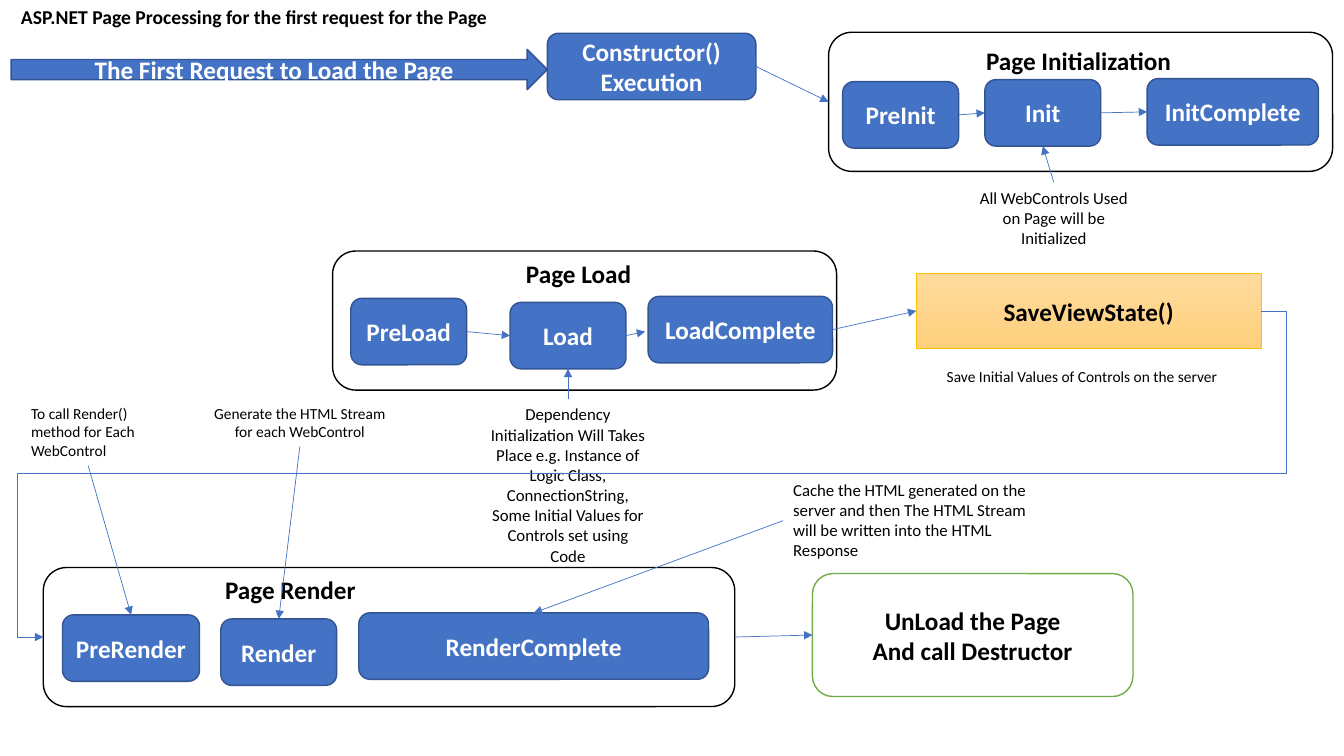
import pptx
import pptx.dml.color
import pptx.enum.shapes
import pptx.enum.text
import pptx.oxml
import pptx.oxml.ns
import pptx.util

RGBColor = pptx.dml.color.RGBColor
BLUE = RGBColor(0x44, 0x72, 0xC4)
DARK_BLUE = RGBColor(0x32, 0x54, 0x91)
GREEN = RGBColor(0x70, 0xAD, 0x47)
GOLD = RGBColor(0xFF, 0xC0, 0x00)
LIGHT_GOLD = RGBColor(0xFF, 0xDB, 0x9E)
MID_GOLD = RGBColor(0xFF, 0xD0, 0x7C)
BLACK = RGBColor(0, 0, 0)
WHITE = RGBColor(0xFF, 0xFF, 0xFF)

FONT = "Calibri"
CELL = pptx.util.Inches(0.1)
COLUMNS, ROWS = 133.33, 75
STEP_WIDTH, STEP_HEIGHT = 11.5, 6.6
STAGE_HEIGHT = 13.8
HEADING_WIDTH, HEADING_HEIGHT = 42.2, 4
TOP, LEFT, BOTTOM, RIGHT = range(4)

SHAPES = pptx.enum.shapes.MSO_SHAPE
CONNECTORS = pptx.enum.shapes.MSO_CONNECTOR
ALIGN = pptx.enum.text.PP_ALIGN


def cells(*counts):
    return [round(count * CELL) for count in counts]


def write_text(shape, text, size, color, bold, alignment):
    shape.text_frame.text = text
    for paragraph in shape.text_frame.paragraphs:
        paragraph.alignment = alignment
        for run in paragraph.runs:
            run.font.name = FONT
            run.font.size = pptx.util.Pt(size)
            run.font.bold = bold
            run.font.color.rgb = color


def add_box(slide, place, text="", fill=BLUE, line=DARK_BLUE, color=WHITE,
            kind=SHAPES.ROUNDED_RECTANGLE, line_width=1):
    shape = slide.shapes.add_shape(kind, *cells(*place))
    shape.shadow.inherit = False
    shape.fill.solid()
    shape.fill.fore_color.rgb = fill
    shape.line.color.rgb = line
    shape.line.width = pptx.util.Pt(line_width)
    if text:
        write_text(shape, text, 18, color, True, ALIGN.CENTER)
    return shape


def add_note(slide, place, text, size=12, bold=False, alignment=ALIGN.CENTER):
    note = slide.shapes.add_textbox(*cells(*place))
    note.text_frame.word_wrap = True
    note.text_frame.auto_size = pptx.enum.text.MSO_AUTO_SIZE.SHAPE_TO_FIT_TEXT
    write_text(note, text, size, BLACK, bold, alignment)
    return note


def add_stage(slide, left, top, width, title, title_left, title_top, steps):
    frame = add_box(slide, (left, top, width, STAGE_HEIGHT), fill=WHITE, line=BLACK)
    add_note(slide, (title_left, title_top, HEADING_WIDTH, HEADING_HEIGHT),
             title, 18, True)
    boxes = [add_box(slide, (step_left, step_top, step_width, STEP_HEIGHT), name)
             for name, step_left, step_top, step_width in steps]
    return frame, boxes


def add_arrow(slide, start, start_side, end=None, end_side=LEFT,
              end_point=(0, 0), kind=CONNECTORS.STRAIGHT):
    arrow = slide.shapes.add_connector(kind, 0, 0, *cells(*end_point))
    arrow.begin_connect(start, start_side)
    if end is not None:
        arrow.end_connect(end, end_side)
    arrow.line.color.rgb = BLUE
    arrow.line.width = pptx.util.Pt(0.5)
    line = arrow.line._get_or_add_ln()
    head = pptx.oxml.ns.qn("a:tailEnd")
    line.append(line.makeelement(head, {"type": "triangle"}))
    properties = arrow._element.spPr
    properties.append(properties.makeelement(pptx.oxml.ns.qn("a:effectLst"), {}))
    return arrow


def add_return_arrow(slide, start, end):
    arrow = add_arrow(slide, start, RIGHT, end, LEFT, kind=CONNECTORS.ELBOW)
    geometry = arrow._element.spPr.find(pptx.oxml.ns.qn("a:prstGeom"))
    geometry.set("prst", "bentConnector5")
    adjustments = geometry.find(pptx.oxml.ns.qn("a:avLst"))
    for number, share in enumerate((-2100, 49900, 102100), 1):
        guide = adjustments.makeelement(
            pptx.oxml.ns.qn("a:gd"), {"name": f"adj{number}", "fmla": f"val {share}"})
        adjustments.append(guide)


def add_state_box(slide):
    shape = add_box(slide, (90.9, 27.1, 34.2, 7.5), "SaveViewState()", LIGHT_GOLD,
                    GOLD, BLACK, SHAPES.RECTANGLE, 0.5)
    shape.fill.gradient()
    shape.fill.gradient_angle = 270
    for stop, color in zip(shape.fill.gradient_stops, (LIGHT_GOLD, MID_GOLD)):
        stop.color.rgb = color
    return shape


def main():
    presentation = pptx.Presentation()
    presentation.slide_width, presentation.slide_height = cells(COLUMNS, ROWS)
    slide = presentation.slides.add_slide(presentation.slide_layouts[6])

    add_note(slide, (1.1, 0, 50.5, 3.4),
             "ASP.NET Page Processing for the first request for the Page",
             14, True, ALIGN.LEFT)
    add_box(slide, (1.1, 4.9, 53.2, 4), "The First Request to Load the Page",
            kind=SHAPES.RIGHT_ARROW)
    constructor = add_box(slide, (54.3, 3.3, 20.7, STEP_HEIGHT),
                          "Constructor() Execution")

    initialization, (pre_init, init, init_complete) = add_stage(
        slide, 82.2, 3.2, 50, "Page Initialization", 85.9, 4,
        [("PreInit", 83.6, 8.1, STEP_WIDTH), ("Init", 97.7, 7.9, STEP_WIDTH),
         ("InitComplete", 113.8, 7.8, 17)])
    page_load, (pre_load, load, load_complete) = add_stage(
        slide, 33, 24.9, 50, "Page Load", 36.3, 25.1,
        [("PreLoad", 34.8, 29.6, STEP_WIDTH), ("Load", 50.6, 30, STEP_WIDTH),
         ("LoadComplete", 64.3, 29.4, 18.3)])
    page_render, (pre_render, render, render_complete) = add_stage(
        slide, 4.3, 56.3, 68.6, "Page Render", 7.7, 56.5,
        [("PreRender", 6.2, 61, 13.6), ("Render", 21.9, 61.4, STEP_WIDTH),
         ("RenderComplete", 35.6, 60.8, 34.7)])
    save_state = add_state_box(slide)
    unload = add_box(slide, (80.6, 56.9, 31.8, 12.2),
                     "UnLoad the Page\nAnd call Destructor", WHITE, GREEN, BLACK)

    init_note = add_note(slide, (95.7, 18.1, 17.7, 7.1),
                         "All WebControls Used on Page will be Initialized")
    load_note = add_note(
        slide, (47.5, 39.6, 17.7, 17.2),
        "Dependency Initialization Will Takes Place e.g. Instance of Logic Class, "
        "ConnectionString, Some Initial Values for Controls set using Code")
    add_note(slide, (91.8, 35.9, 31.1, 2.9),
             "Save Initial Values of Controls on the server", 11)
    pre_render_note = add_note(slide, (2.1, 39.6, 13.3, 6.6),
                               "To call Render() method for Each WebControl",
                               11, alignment=ALIGN.LEFT)
    render_note = add_note(slide, (19.7, 39.6, 20.1, 4.7),
                           "Generate the HTML Stream for each WebControl", 11)
    complete_note = add_note(
        slide, (77.7, 47.1, 25.9, 9.1),
        "Cache the HTML generated on the server and then The HTML Stream "
        "will be written into the HTML Response", alignment=ALIGN.LEFT)

    for start, start_side, end, end_side in (
            (constructor, RIGHT, initialization, LEFT),
            (pre_init, RIGHT, init, LEFT),
            (init, RIGHT, init_complete, LEFT),
            (init_note, TOP, init, BOTTOM),
            (pre_load, RIGHT, load, LEFT),
            (load_note, TOP, load, BOTTOM),
            (load_complete, RIGHT, save_state, LEFT),
            (pre_render_note, BOTTOM, pre_render, TOP),
            (render_note, BOTTOM, render, TOP),
            (complete_note, LEFT, render_complete, TOP),
            (page_render, RIGHT, unload, LEFT)):
        add_arrow(slide, start, start_side, end, end_side)
    add_arrow(slide, load, RIGHT, end_point=(64, 32.9))
    add_return_arrow(slide, save_state, page_render)

    presentation.save("out.pptx")


if __name__ == "__main__":
    main()
